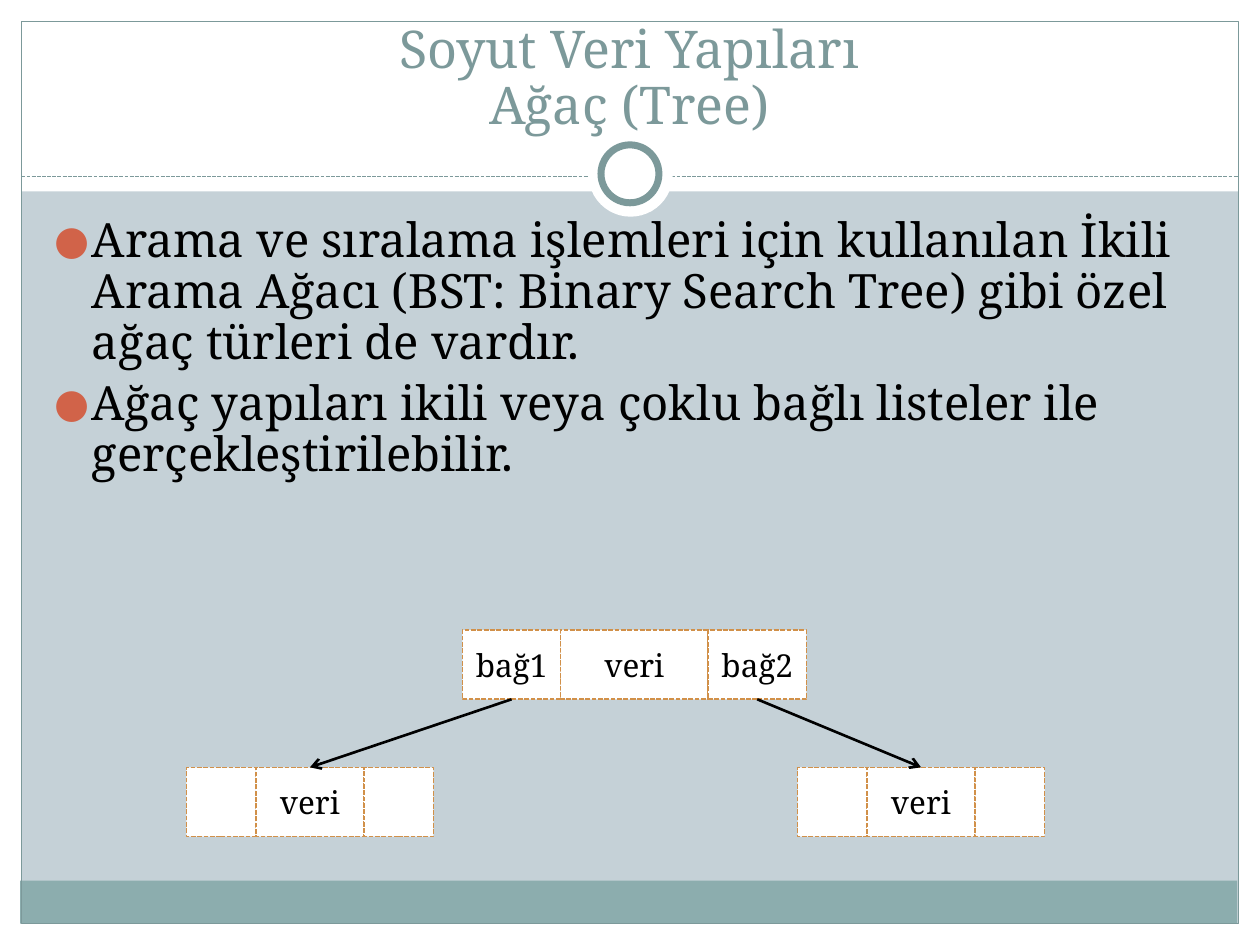
"""Build the slide on abstract data structures: tree."""
from typing import NamedTuple, Optional

from lxml.etree import SubElement
from pptx import Presentation
from pptx.dml.color import RGBColor
from pptx.enum.dml import MSO_LINE
from pptx.enum.shapes import MSO_CONNECTOR, MSO_SHAPE
from pptx.enum.text import MSO_ANCHOR, MSO_AUTO_SIZE, PP_ALIGN
from pptx.oxml.ns import qn
from pptx.util import Inches, Pt

WHITE = RGBColor(0xFF, 0xFF, 0xFF)
BLACK = RGBColor(0, 0, 0)
BACKGROUND = RGBColor(0xC5, 0xD1, 0xD7)
BAND = RGBColor(0x8C, 0xAD, 0xAE)
TEAL = RGBColor(0x7C, 0x99, 0x9A)
ORANGE = RGBColor(0xD1, 0x90, 0x49)
BULLET = "D16349"
FONT = "Noto Serif"
WIDTH, HEIGHT, MARGIN = 10, 7.5, 0.17
HEADER = 1.52
CELL_HEIGHT = 0.55


class Box(NamedTuple):
    left: float
    top: float
    width: float
    height: float


class Panel(NamedTuple):
    box: Box
    fill: Optional[RGBColor] = WHITE
    line: Optional[RGBColor] = None
    weight: float = 0.75
    kind: MSO_SHAPE = MSO_SHAPE.RECTANGLE


class Node(NamedTuple):
    left: float
    top: float
    link_width: float
    data_width: float
    labels: tuple

    def cells(self) -> list:
        left, boxes = self.left, []
        for width in (self.link_width, self.data_width, self.link_width):
            boxes.append(Box(left, self.top, width, CELL_HEIGHT))
            left += width
        return boxes


PANELS = (
    Panel(Box(0, HEIGHT - MARGIN, WIDTH, MARGIN)),
    Panel(Box(0, 0, WIDTH, HEADER)),
    Panel(Box(0, 0, MARGIN, HEIGHT)),
    Panel(Box(WIDTH - MARGIN, 0, MARGIN, HEIGHT)),
    Panel(Box(0.16, 6.99, 9.66, 0.34), BAND),
    Panel(Box(MARGIN, MARGIN, WIDTH - 2 * MARGIN, HEIGHT - 2 * MARGIN), None, TEAL),
)
RINGS = (
    Panel(Box(4.67, 1.05, 0.67, 0.67), kind=MSO_SHAPE.OVAL),
    Panel(Box(4.77, 1.15, 0.46, 0.46), WHITE, TEAL, 4, MSO_SHAPE.OVAL),
)
ROOT = Node(3.67, 5, 0.78, 1.17, ("bağ1", "veri", "bağ2"))
CHILDREN = tuple(Node(left, 6.09, 0.55, 0.86, ("", "veri", "")) for left in (1.48, 6.33))
TITLE = "Soyut Veri Yapıları\vAğaç (Tree)"
POINTS = (
    "Arama ve sıralama işlemleri için kullanılan İkili Arama Ağacı "
    "(BST: Binary Search Tree) gibi özel ağaç türleri de vardır.",
    "Ağaç yapıları ikili veya çoklu bağlı listeler ile gerçekleştirilebilir.",
)


def write(paragraph, text: str, *, size: float, color=BLACK,
          align=PP_ALIGN.CENTER, spacing: float = 1, before: float = 0) -> None:
    paragraph.text = text
    paragraph.alignment = align
    paragraph.line_spacing = spacing
    paragraph.space_before = Pt(before)
    for run in paragraph.runs:
        run.font.name = FONT
        run.font.size = Pt(size)
        run.font.color.rgb = color


def place(shape, box: Box) -> None:
    shape.left, shape.top, shape.width, shape.height = map(Inches, box)


def draw_panel(slide, panel: Panel):
    shape = slide.shapes.add_shape(panel.kind, *map(Inches, panel.box))
    shape.shadow.inherit = False
    if panel.fill is None:
        shape.fill.background()
    else:
        shape.fill.solid()
        shape.fill.fore_color.rgb = panel.fill
    if panel.line is None:
        shape.line.fill.background()
    else:
        shape.line.color.rgb = panel.line
        shape.line.width = Pt(panel.weight)
    return shape


def draw_line(slide, start: tuple, end: tuple, color: RGBColor, weight: float):
    line = slide.shapes.add_connector(MSO_CONNECTOR.STRAIGHT, *map(Inches, start + end))
    line.line.color.rgb = color
    line.line.width = Pt(weight)
    SubElement(line._element.spPr, qn("a:effectLst"))
    return line


def draw_node(slide, node: Node) -> None:
    for box, label in zip(node.cells(), node.labels):
        cell = draw_panel(slide, Panel(box, WHITE, ORANGE, 0.9))
        cell.line.dash_style = MSO_LINE.SQUARE_DOT
        if label:
            frame = cell.text_frame
            frame.margin_left = frame.margin_right = 0
            frame.vertical_anchor = MSO_ANCHOR.MIDDLE
            write(frame.paragraphs[0], label, size=18)


def draw_arrow(slide, source: Box, target: Box) -> None:
    start = (source.left + source.width / 2, source.top + source.height)
    end = (target.left + target.width / 2, target.top)
    arrow = draw_line(slide, start, end, BLACK, 1.5)
    SubElement(arrow.line._get_or_add_ln(), qn("a:tailEnd"), type="arrow")


def add_bullet(paragraph) -> None:
    properties = paragraph._p.get_or_add_pPr()
    properties.set("marL", str(Inches(0.3)))
    properties.set("indent", str(Inches(-0.3)))
    color = SubElement(properties, qn("a:buClr"))
    SubElement(color, qn("a:srgbClr"), val=BULLET)
    SubElement(properties, qn("a:buSzPct"), val="85000")
    SubElement(properties, qn("a:buFont"), typeface=FONT)
    SubElement(properties, qn("a:buChar"), char="●")


def fill_placeholders(title, body) -> None:
    place(title, Box(0.33, 0.25, 9.33, 0.83))
    place(body, Box(0.33, 1.67, 9.3, 5))
    for shape, anchor in ((title, MSO_ANCHOR.BOTTOM), (body, MSO_ANCHOR.TOP)):
        shape.text_frame.auto_size = MSO_AUTO_SIZE.NONE
        shape.text_frame.vertical_anchor = anchor
    title.text_frame.margin_bottom = 0
    write(title.text_frame.paragraphs[0], TITLE, size=29.7, color=TEAL, spacing=0.9)
    frame = body.text_frame
    for index, point in enumerate(POINTS):
        paragraph = frame.add_paragraph() if index else frame.paragraphs[0]
        write(paragraph, point, size=27, align=PP_ALIGN.LEFT, spacing=0.9, before=5.4)
        add_bullet(paragraph)


def main() -> None:
    presentation = Presentation()
    presentation.slide_width, presentation.slide_height = Inches(WIDTH), Inches(HEIGHT)
    slide = presentation.slides.add_slide(presentation.slide_layouts[1])
    slide.background.fill.solid()
    slide.background.fill.fore_color.rgb = BACKGROUND
    title, body = slide.placeholders

    for panel in PANELS:
        draw_panel(slide, panel)
    rule = draw_line(slide, (MARGIN, 1.4), (WIDTH - MARGIN, 1.4), TEAL, 0.75)
    rule.line.dash_style = MSO_LINE.SQUARE_DOT
    for ring in RINGS:
        draw_panel(slide, ring)

    fill_placeholders(title, body)
    for placeholder in (title, body):
        slide.shapes._spTree.append(placeholder._element)

    for node in (ROOT, *CHILDREN):
        draw_node(slide, node)
    for link, child in zip(ROOT.cells()[::2], CHILDREN):
        draw_arrow(slide, link, child.cells()[1])
    presentation.save("out.pptx")


main()
